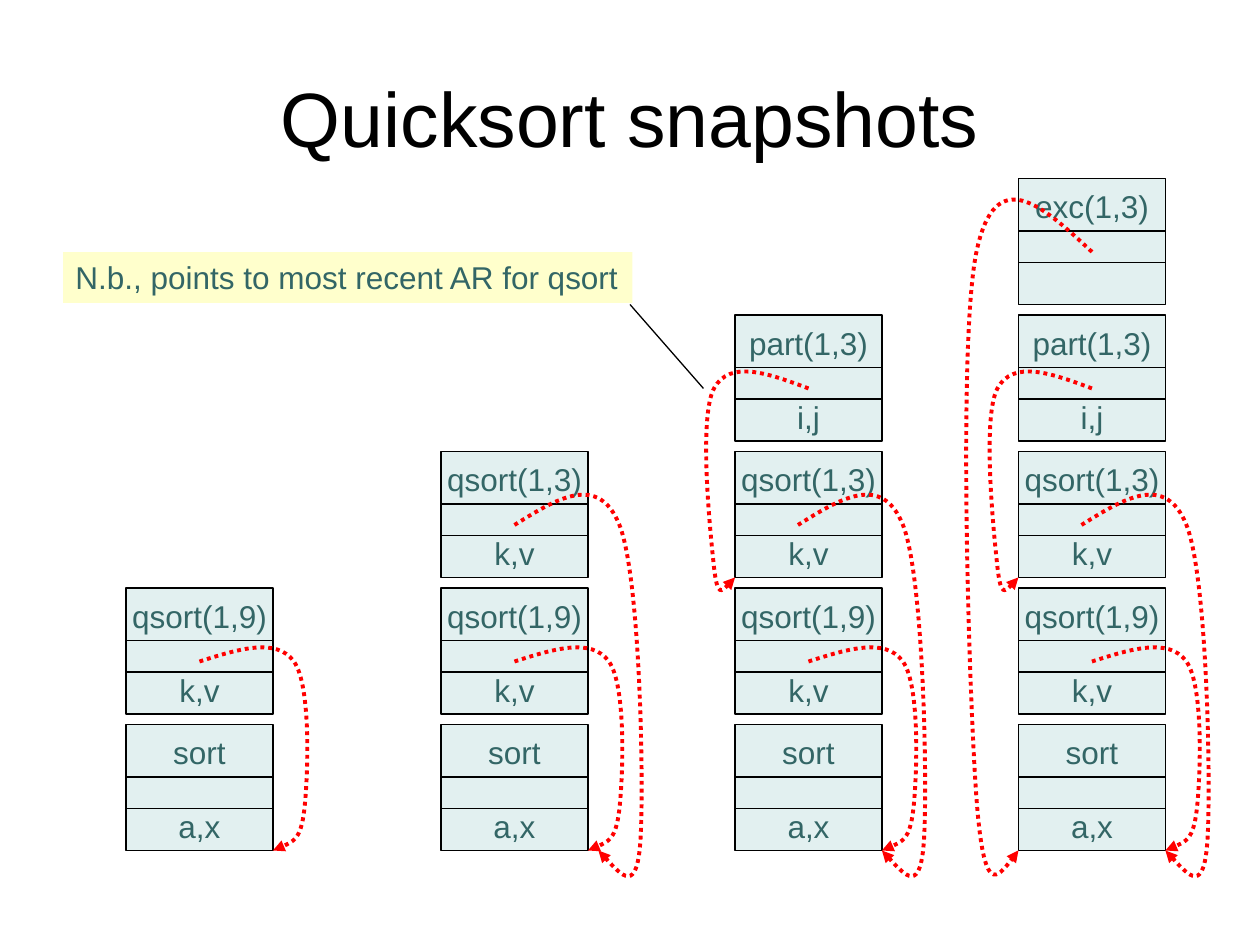
import pptx
import pptx.dml.color
import pptx.enum.dml
import pptx.enum.shapes
import pptx.enum.text
import pptx.oxml.ns
import pptx.util
from lxml import etree

# Content: activation records, bottom of the stack first
TITLE = "Quicksort snapshots"
NOTE = "N.b., points to most recent AR for qsort"
RECORDS = [("sort", "a,x"), ("qsort(1,9)", "k,v"), ("qsort(1,3)", "k,v"),
           ("part(1,3)", "i,j"), ("exc(1,3)", None)]

# Access links: start point, then three points per curve;
# x counts from the left of the stack, y from the top of the slide
LINKS = {
    "qsort(1,9)": [(7, 63), (10.67, 61.83), (14.33, 60.67), (16, 63), (17.67, 65.33),
                   (17.33, 74), (17, 77), (16.67, 80), (15.33, 80.5), (14, 81)],
    "qsort(1,3)": [(6, 50), (10, 47.5), (14, 45), (16, 50), (18, 55),
                   (18.33, 75), (18, 80), (17.67, 85.17), (15.83, 83), (14, 81)],
    "part(1,3)": [(7, 37), (3.25, 35.6), (-0.5, 34.2), (-2, 37), (-3.5, 39.8),
                  (-2.33, 51), (-2, 54), (-1.67, 57), (-0.83, 56), (0, 55)],
    "exc(1,3)": [(7, 24), (2.36, 19.68), (-2.2, 15.36), (-4, 24), (-5.8, 32.6),
                 (-4.7, 66.5), (-4, 76), (-3.3, 85.5), (-1.7, 83.3), (0, 81)],
}
# Each snapshot: left edge, number of records, shift of its qsort(1,3) link
SNAPSHOTS = [(12, 2, 0), (42, 3, 1), (70, 4, 0), (97, 5, 0)]

# Grid in twelfths of an inch
RECORD_W, RECORD_H, PITCH, BOTTOM_TOP = 14, 12, 13, 69
DIVIDERS = (5, 8)
COLORS = {"ink": "000000", "text": "336666", "record": "E2F0F0",
          "note": "FFFFCC", "link": "FF0000"}
FONT = "Arial"
LINE_HEIGHT = 20.7


def grid(units):
    return pptx.util.Inches(units / 12)


def rgb(name):
    return pptx.dml.color.RGBColor.from_string(COLORS[name])


def write(paragraph, text, size=18, color="text"):
    run = paragraph.add_run()
    run.text = text
    run.font.name = FONT
    run.font.size = pptx.util.Pt(size)
    run.font.color.rgb = rgb(color)


def rectangle(shapes, left, top, width, height, fill):
    box = shapes.add_shape(pptx.enum.shapes.MSO_SHAPE.RECTANGLE,
                           grid(left), grid(top), grid(width), grid(height))
    box.shadow.inherit = False
    box.fill.solid()
    box.fill.fore_color.rgb = rgb(fill)
    box.text_frame.word_wrap = False
    return box


def rule(shapes, x1, y1, x2, y2):
    line = shapes.add_connector(pptx.enum.shapes.MSO_CONNECTOR.STRAIGHT,
                                grid(x1), grid(y1), grid(x2), grid(y2))
    line.line.color.rgb = rgb("ink")
    line.line.width = pptx.util.Pt(0.75)
    etree.SubElement(line._element.spPr, pptx.oxml.ns.qn("a:effectLst"))


def draw_record(shapes, left, top, call, variables):
    box = rectangle(shapes, left, top, RECORD_W, RECORD_H, "record")
    box.line.color.rgb = rgb("ink")
    box.line.width = pptx.util.Pt(0.75)
    frame = box.text_frame
    frame.vertical_anchor = pptx.enum.text.MSO_ANCHOR.TOP
    frame.margin_top = pptx.util.Inches(0.07)
    name = frame.paragraphs[0]
    name.alignment = pptx.enum.text.PP_ALIGN.CENTER
    write(name, call)
    if variables:
        local = frame.add_paragraph()
        local.alignment = pptx.enum.text.PP_ALIGN.CENTER
        local.space_before = pptx.util.Pt(LINE_HEIGHT)
        write(local, variables)
    for offset in DIVIDERS:
        rule(shapes, left, top + offset, left + RECORD_W, top + offset)


def draw_link(shapes, left, points):
    start, *rest = [(grid(left + x), grid(y)) for x, y in points]
    builder = shapes.build_freeform(*start)
    builder.add_line_segments(rest, close=False)
    link = builder.convert_to_shape()
    link.shadow.inherit = False
    link.fill.background()
    link.line.color.rgb = rgb("link")
    link.line.width = pptx.util.Pt(2.25)
    link.line.dash_style = pptx.enum.dml.MSO_LINE.ROUND_DOT
    qn = pptx.oxml.ns.qn
    etree.SubElement(link.line._get_or_add_ln(), qn("a:tailEnd"), type="triangle")
    # Turn each three straight segments into one Bezier curve
    segments = list(link._element.iter(qn("a:lnTo")))
    for i in range(0, len(segments), 3):
        curve = etree.Element(qn("a:cubicBezTo"))
        segments[i].addprevious(curve)
        for segment in segments[i:i + 3]:
            curve.append(segment[0])
            segment.getparent().remove(segment)


def main():
    deck = pptx.Presentation()
    deck.slide_width, deck.slide_height = pptx.util.Inches(10), pptx.util.Inches(7.5)
    slide = deck.slides.add_slide(deck.slide_layouts[5])
    shapes = slide.shapes

    # Title
    title = shapes.title
    title.left, title.top, title.width, title.height = map(
        pptx.util.Inches, (0.5, 0.3, 9, 1.25))
    title.text_frame.vertical_anchor = pptx.enum.text.MSO_ANCHOR.MIDDLE
    heading = title.text_frame.paragraphs[0]
    heading.alignment = pptx.enum.text.PP_ALIGN.CENTER
    write(heading, TITLE, 44, "ink")

    # Stacks, one group each
    for left, depth, _ in SNAPSHOTS:
        stack = shapes.add_group_shape().shapes
        for level, (call, variables) in enumerate(RECORDS[:depth]):
            draw_record(stack, left, BOTTOM_TOP - level * PITCH, call, variables)

    # Access links above the stacks
    for left, depth, shift in SNAPSHOTS:
        for call, _ in RECORDS[1:depth]:
            draw_link(shapes, left + (shift if call == "qsort(1,3)" else 0), LINKS[call])

    # Note and its leader
    note = rectangle(shapes, 6, 24, 54.24, 4.85, "note")
    note.line.fill.background()
    note.text_frame.vertical_anchor = pptx.enum.text.MSO_ANCHOR.TOP
    note.text_frame.paragraphs[0].alignment = pptx.enum.text.PP_ALIGN.LEFT
    write(note.text_frame.paragraphs[0], NOTE)
    rule(shapes, 60, 29, 67, 37)

    deck.save("out.pptx")


if __name__ == "__main__":
    main()
